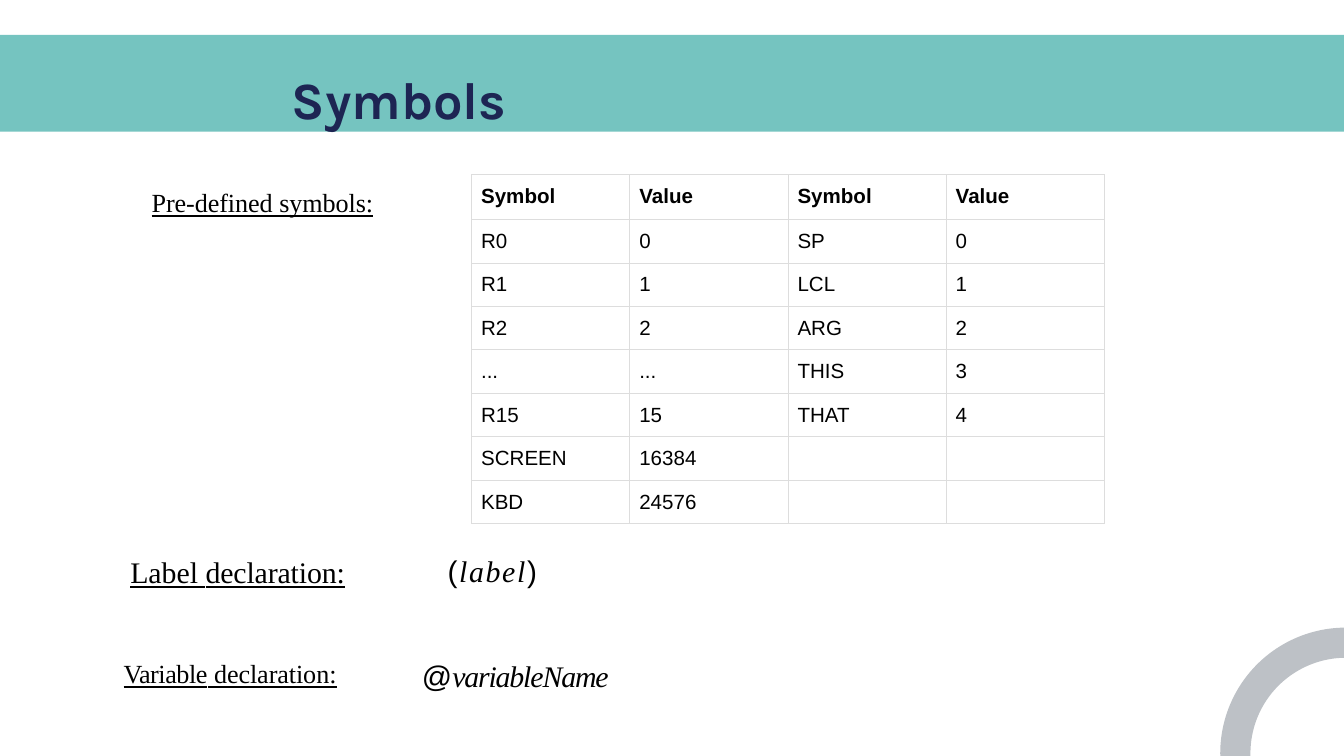
from lxml import etree
from pptx import Presentation
from pptx import util as u
from pptx.dml.color import RGBColor
from pptx.enum import shapes, text
from pptx.oxml.ns import qn

WIDTH = u.Inches(10)
HEIGHT = WIDTH * 9 // 16
SERIF, SANS = "Times New Roman", "Arial"
SYMBOLS = [
    ("Symbol", "Value", "Symbol", "Value"),
    ("R0", "0", "SP", "0"),
    ("R1", "1", "LCL", "1"),
    ("R2", "2", "ARG", "2"),
    ("...", "...", "THIS", "3"),
    ("R15", "15", "THAT", "4"),
    ("SCREEN", "16384", "", ""),
    ("KBD", "24576", "", ""),
]


def color(value):
    return RGBColor.from_string(value)


def place(left, top, width, height):
    return [int(share * side / 100) for share, side in
            zip((left, top, width, height), (WIDTH, HEIGHT) * 2)]


def set_insets(holder, insets):
    holder.margin_left, holder.margin_top, holder.margin_right, holder.margin_bottom = map(
        u.Inches, insets)


def write(frame, runs, size, ink="000000", bold=False, underline=False,
          align=text.PP_ALIGN.LEFT, indent=0):
    paragraph = frame.paragraphs[0]
    paragraph.alignment = align
    paragraph._p.get_or_add_pPr().set("marL", str(u.Inches(indent)))
    for words, face, spacing, italic in runs:
        run = paragraph.add_run()
        run.text = words
        font = run.font
        font.name, font.size = face, u.Pt(size)
        font.bold, font.italic, font.underline = bold, italic, underline
        font.color.rgb = color(ink)
        if spacing:
            run._r.get_or_add_rPr().set("spc", str(round(spacing * 100)))
    if not runs:
        end = etree.SubElement(paragraph._p, qn("a:endParaRPr"))
        end.set("sz", str(size * 100))


def add_decoration(slide, kind, area, fill, adjustments=()):
    decoration = slide.shapes.add_shape(kind, *place(*area))
    decoration.shadow.inherit = False
    decoration.fill.solid()
    decoration.fill.fore_color.rgb = color(fill)
    decoration.line.fill.background()
    for index, amount in enumerate(adjustments):
        decoration.adjustments[index] = amount


def add_text(slide, area, runs, insets=(0, 0.01, 0, 0), **style):
    frame = slide.shapes.add_textbox(*place(*area)).text_frame
    frame.word_wrap = True
    set_insets(frame, insets)
    write(frame, runs, **style)


def add_borders(cell):
    properties = cell._tc.get_or_add_tcPr()
    for position, side in enumerate(("a:lnL", "a:lnR", "a:lnT", "a:lnB")):
        border = etree.Element(qn(side), w=str(u.Pt(0.6)))
        fill = etree.SubElement(border, qn("a:solidFill"))
        etree.SubElement(fill, qn("a:srgbClr"), val="DDDDDD")
        properties.insert(position, border)


def add_symbol_table(slide, area, header_height):
    left, top, width, height = place(*area)
    columns, count = len(SYMBOLS[0]), len(SYMBOLS)
    table = slide.shapes.add_table(count, columns, left, top, width, height).table
    table.first_row = table.horz_banding = False
    header = int(height * header_height)
    for column in table.columns:
        column.width = width // columns
    for index, row in enumerate(table.rows):
        row.height = (height - header) // (count - 1) if index else header
        for cell, words in zip(row.cells, SYMBOLS[index]):
            cell.fill.background()
            cell.vertical_anchor = text.MSO_ANCHOR.MIDDLE
            set_insets(cell, (0.07, 0.07, 0.07, 0.07 if index else 0.08))
            runs = [(words, SANS, 0, False)] if words else []
            write(cell.text_frame, runs, size=11, bold=index == 0)
            add_borders(cell)


def main():
    deck = Presentation()
    deck.slide_width, deck.slide_height = WIDTH, HEIGHT
    slide = deck.slides.add_slide(deck.slide_layouts[6])

    add_decoration(slide, shapes.MSO_SHAPE.RECTANGLE,
                   (-1.7, 4.62, 103.4, 12.8), "75C4C0")
    add_decoration(slide, shapes.MSO_SHAPE.BLOCK_ARC,
                   (90.8, 83.02, 18.7, 33.24), "BDC1C6", (106.77, 163.22, 0.12))

    add_text(slide, (9.6, 7.11, 39.2, 8.71), [(" Symbols", "Karla", 0, False)],
             insets=(0.1, 0.1, 0.1, 0.1), size=28, ink="1D2553", bold=True,
             align=text.PP_ALIGN.CENTER)

    add_text(slide, (10.2, 23.82, 51.7, 6.04),
             [("Pre-defined", SERIF, -0.05, False), (" ", SERIF, -0.3, False),
              ("symbols:", SERIF, -0.05, False)],
             insets=(0.1, 0.05, 0.1, 0.05), size=14, underline=True, indent=0.01)
    add_text(slide, (9.6, 73.07, 20.4, 4.98),
             [("Label", SERIF, 0, False), (" ", SERIF, -0.7, False),
              ("declaration:", SERIF, -0.05, False)],
             size=16, underline=True, indent=0.01)
    add_text(slide, (33.2, 72.89, 7.2, 5.16),
             [("(", SANS, 0.9, False), ("label", SERIF, 0.9, True),
              (")", SANS, 0.9, False)], size=16, indent=0.01)
    add_text(slide, (9.1, 86.83, 23.3, 4.44),
             [("Variable", SERIF, -0.25, False), (" ", SERIF, -0.6, False),
              ("declaration:", SERIF, -0.05, False)],
             size=14, underline=True, indent=0.01)
    add_text(slide, (31.3, 86.83, 14.1, 5.16),
             [("@", SANS, -0.6, False), ("variableName", SERIF, -0.6, True)],
             size=16, indent=0.01)

    add_symbol_table(slide, (35.1, 23.11, 47.1, 45.33), header_height=0.13)
    deck.save("out.pptx")


if __name__ == "__main__":
    main()
